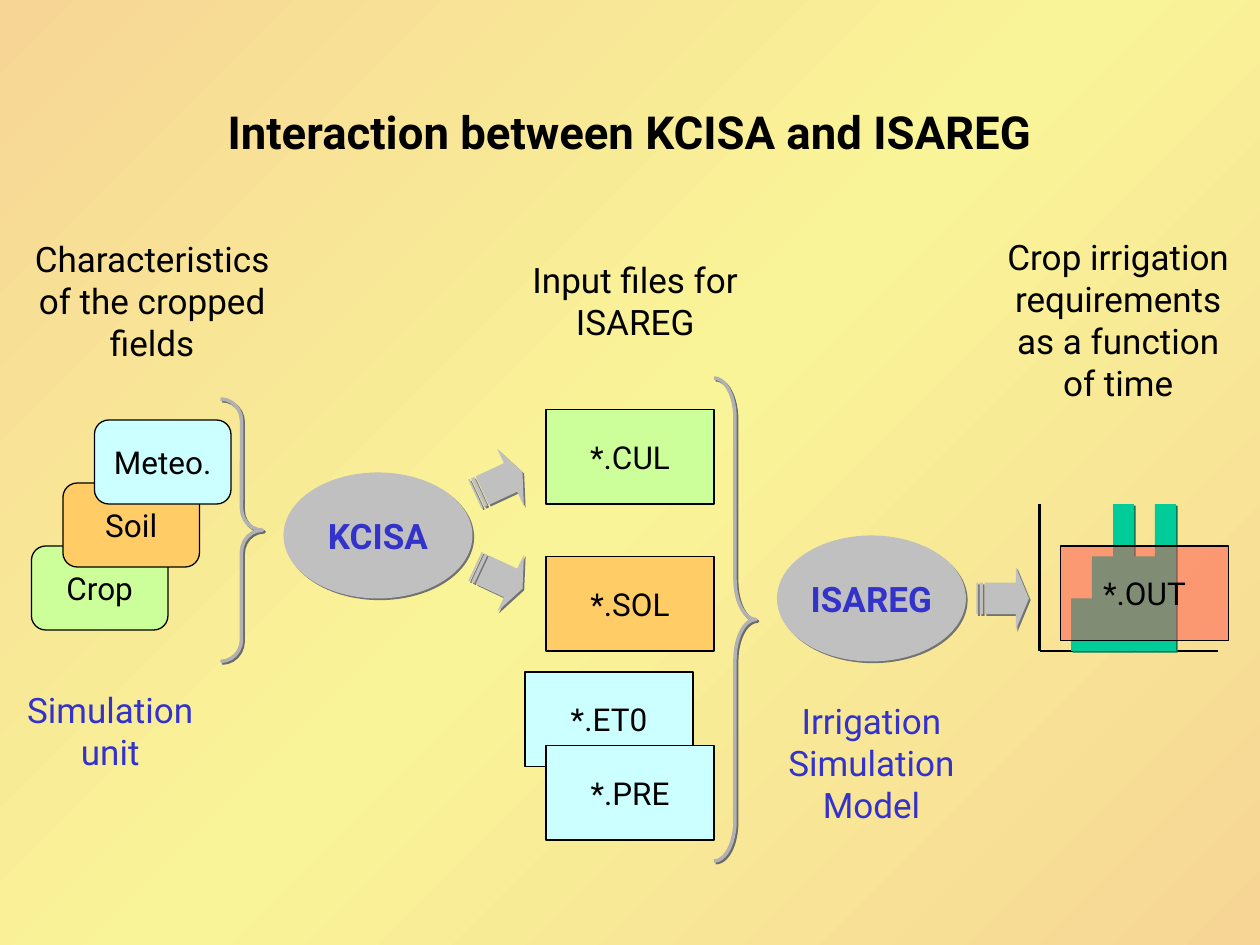
from copy import deepcopy
from lxml.etree import SubElement as Sub
from pptx import Presentation
from pptx.dml.color import RGBColor as RGB
from pptx.enum.shapes import MSO_CONNECTOR as Conn, MSO_SHAPE as Kind
from pptx.enum.text import MSO_ANCHOR as Anchor, MSO_AUTO_SIZE as Auto, PP_ALIGN as Align
from pptx.oxml.ns import qn
from pptx.util import Pt

BLACK = RGB(0x00, 0x00, 0x00)
BLUE = RGB(0x33, 0x33, 0xCC)
LIME = RGB(0xCC, 0xFF, 0x99)
AMBER = RGB(0xFF, 0xCC, 0x66)
CYAN = RGB(0xCC, 0xFF, 0xFF)
RED = RGB(0xFF, 0x50, 0x50)
GREEN = RGB(0x00, 0xCC, 0x99)
GRAY = RGB(0xC0, 0xC0, 0xC0)
STEEL = RGB(0xB2, 0xB2, 0xB2)
GRAY_DIM = RGB(0x72, 0x72, 0x72)
STEEL_DIM = RGB(0x6A, 0x6A, 0x6A)
GREEN_DIM = RGB(0x00, 0x79, 0x5B)
PEACH = RGB(0xF7, 0xD6, 0x95)
CREAM = RGB(0xF9, 0xF4, 0x97)


class Painter:
    font = "Roboto"

    def __init__(self, slide):
        self.slide = slide
        self.shapes = slide.shapes

    def backdrop(self, edge, mid):
        fill = self.slide.background.fill
        fill.gradient()
        fill.gradient_angle = 315
        stops = self.slide.element.find(".//" + qn("a:gsLst"))
        stops.insert(1, deepcopy(stops[0]))
        for stop, tint, pos in zip(fill.gradient_stops, (edge, mid, edge), (0, 0.5, 1)):
            stop.color.rgb = tint
            stop.position = pos

    def letter(self, shape, text, size, color, bold=False, wrap=False):
        frame = shape.text_frame
        frame.word_wrap = wrap
        frame.vertical_anchor = Anchor.MIDDLE
        para = frame.paragraphs[0]
        para.text = text
        para.alignment = Align.CENTER
        font = para.font
        font.name, font.size, font.bold = self.font, Pt(size), bold
        font.color.rgb = color

    def shape(self, kind, box, fill=None, line=None, width=0.75, shade=None):
        item = self.shapes.add_shape(kind, *map(Pt, box))
        item.shadow.inherit = False
        if fill is None:
            item.fill.background()
        else:
            item.fill.solid()
            item.fill.fore_color.rgb = fill
        if line is None:
            item.line.fill.background()
        else:
            item.line.color.rgb = line
            item.line.width = Pt(width)
        if shade is not None:
            effects = item.element.spPr.find(qn("a:effectLst"))
            cast = Sub(effects, qn("a:outerShdw"), dist=str(Pt(1.4)), dir="2700000",
                       algn="ctr", rotWithShape="0")
            Sub(cast, qn("a:srgbClr"), val=str(shade))
        return item

    def card(self, text, x, y, fill):
        item = self.shape(Kind.ROUNDED_RECTANGLE, (x, y, 78, 48), fill, BLACK)
        item.adjustments[0] = 0.17
        self.letter(item, text, 18, BLACK)

    def file(self, text, x, y, fill, alpha=None):
        item = self.shape(Kind.RECTANGLE, (x, y, 96, 54), fill, BLACK)
        if alpha is not None:
            tint = item.element.spPr.find(qn("a:solidFill"))[0]
            Sub(tint, qn("a:alpha"), val=str(alpha * 1000))
        self.letter(item, text, 18, BLACK)

    def model(self, text, x, y):
        item = self.shape(Kind.OVAL, (x, y, 108, 72), GRAY, shade=GRAY_DIM)
        self.letter(item, text, 20, BLUE, bold=True)

    def brace(self, x, y, high):
        wide = 24
        item = self.shape(Kind.RIGHT_BRACE, (x, y, wide, high), None, STEEL, 2, STEEL_DIM)
        item.adjustments[0] = high / 12 / wide
        item.adjustments[1] = 0.5

    def arrow(self, x, y, turn=0):
        item = self.shape(Kind.STRIPED_RIGHT_ARROW, (x, y, 30, 36), GRAY, shade=GRAY_DIM)
        item.adjustments[0] = 0.5
        item.adjustments[1] = 0.25
        item.rotation = turn

    def label(self, text, box, color=BLACK, size=20, bold=False, grow=True):
        item = self.shapes.add_textbox(*map(Pt, box))
        self.letter(item, text, size, color, bold, wrap=True)
        item.text_frame.auto_size = Auto.SHAPE_TO_FIT_TEXT if grow else Auto.NONE

    def axis(self, *ends):
        line = self.shapes.add_connector(Conn.STRAIGHT, *map(Pt, ends))
        line.line.color.rgb = BLACK
        line.line.width = Pt(1.25)
        Sub(line.element.spPr, qn("a:effectLst"))

    def graph(self, x, base, tops):
        self.shapes = self.slide.shapes.add_group_shape().shapes
        self.axis(x, base, x + 102, base)
        self.axis(x, base - 84, x, base)
        for i, high in enumerate(tops):
            box = (x + 18 + 12 * i, base - high, 12, high)
            self.shape(Kind.RECTANGLE, box, GREEN, shade=GREEN_DIM)
        self.file("*.OUT", x + 12, base - 60, RED, alpha=50)
        self.shapes = self.slide.shapes


def main():
    deck = Presentation()
    deck.slide_width, deck.slide_height = Pt(720), Pt(540)
    pen = Painter(deck.slides.add_slide(deck.slide_layouts[6]))
    pen.backdrop(PEACH, CREAM)
    pen.label("Interaction between KCISA and ISAREG", (54, 30, 612, 90),
              size=26, bold=True, grow=False)

    cards = (("Crop", LIME), ("Soil", AMBER), ("Meteo.", CYAN))
    for i, (name, fill) in enumerate(cards):
        pen.card(name, 18 + 18 * i, 312 - 36 * i, fill)

    files = (("*.ET0", 300, 384, CYAN), ("*.CUL", 312, 234, LIME),
             ("*.SOL", 312, 318, AMBER), ("*.PRE", 312, 426, CYAN))
    for entry in files:
        pen.file(*entry)

    pen.model("KCISA", 162, 270)
    pen.model("ISAREG", 444, 306)
    pen.graph(594, 372, (30, 54, 84, 54, 84))
    pen.brace(126, 228, 150)
    pen.brace(408, 216, 276)
    pen.arrow(558, 324)
    pen.arrow(270, 258, 335)
    pen.arrow(270, 312, 25)

    labels = (
        ("Characteristics of the cropped fields", (12, 120, 150, 103.6), BLACK),
        ("Input files for ISAREG", (288, 144, 150, 55.4), BLACK),
        ("Crop irrigation requirements as a function of time", (564, 119, 150, 127.4), BLACK),
        ("Irrigation Simulation Model", (438, 396, 120, 79.2), BLUE),
        ("Simulation unit", (0, 390, 126, 55.4), BLUE),
    )
    for entry in labels:
        pen.label(*entry)
    deck.save("out.pptx")


if __name__ == "__main__":
    main()
